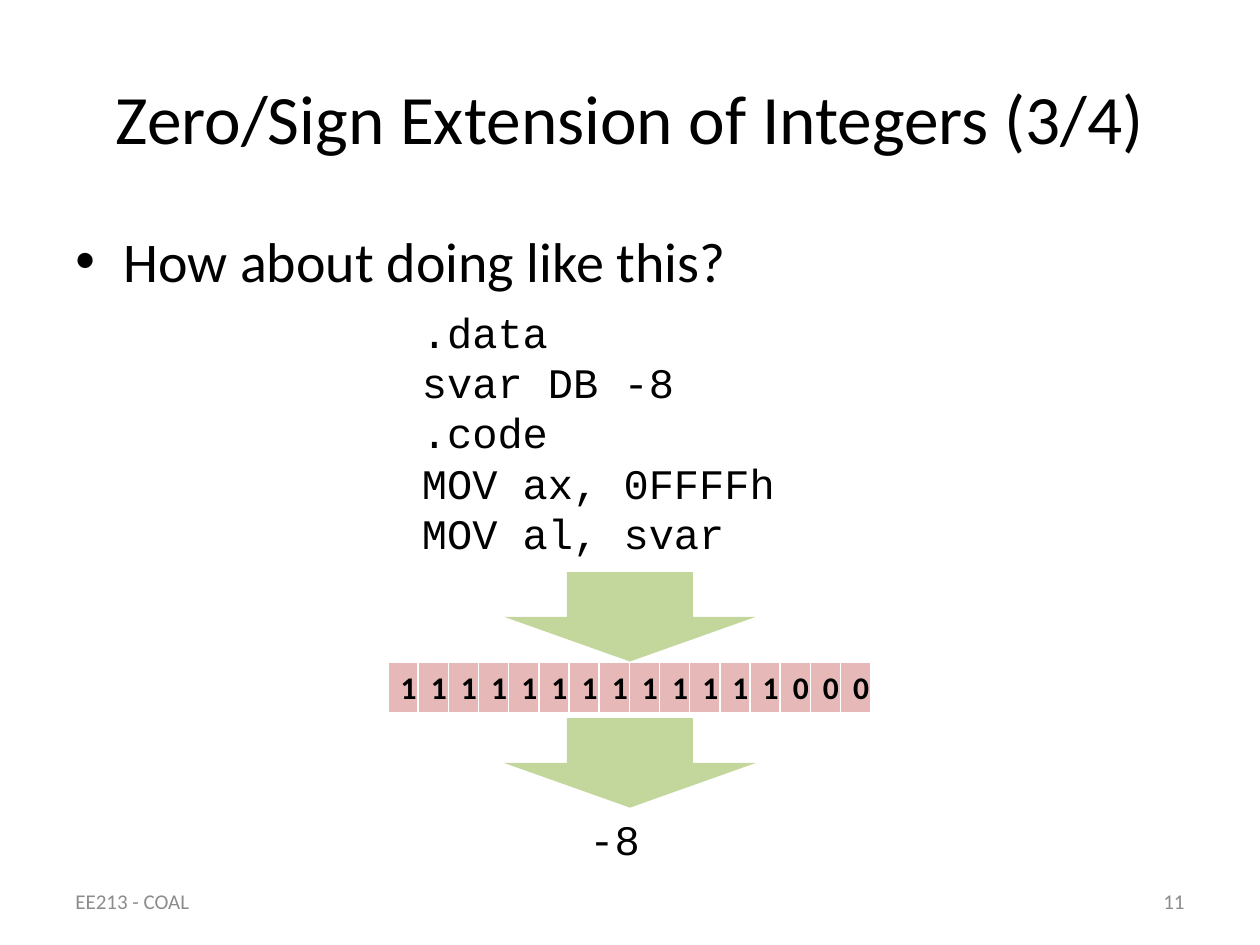
from lxml import etree
from pptx import Presentation
from pptx.dml.color import RGBColor
from pptx.enum.shapes import MSO_SHAPE
from pptx.enum.text import MSO_ANCHOR, PP_ALIGN
from pptx.oxml.ns import qn
from pptx.util import Inches, Pt

TITLE = "Zero/Sign Extension of Integers (3/4)"
QUESTION = "How about doing like this?"
CODE = [".data", "svar DB -8", ".code", "MOV ax, 0FFFFh", "MOV al, svar"]
BITS = "1111111111111000"
RESULT = "-8"
FOOTER, PAGE = "EE213 - COAL", "11"

BLACK, GRAY, WHITE = "000000", "8C8C8C", "FFFFFF"
GREEN, PINK = "C3D69B", "E6B9B8"
SANS, MONO = "Calibri", "Courier New"
ARROW_TOPS = [4.54, 5.70]
BORDERS = [("a:lnL", 1), ("a:lnR", 1), ("a:lnT", 1), ("a:lnB", 3)]


def color(value):
    """Turn a hex string into a colour."""
    return RGBColor.from_string(value)


def set_font(paragraph, size, name=SANS, fill=BLACK, bold=False):
    """Set the font of a whole paragraph."""
    font = paragraph.font
    font.size, font.name, font.bold = Pt(size), name, bold
    font.color.rgb = color(fill)


def add_text(slide, box, lines, size, name=SANS, fill=BLACK,
             align=PP_ALIGN.LEFT, anchor=MSO_ANCHOR.TOP, wrap=True):
    """Add a text box with one paragraph per line and return its frame."""
    frame = slide.shapes.add_textbox(*map(Inches, box)).text_frame
    frame.word_wrap = wrap
    frame.vertical_anchor = anchor
    frame.text = "\n".join(lines)
    for paragraph in frame.paragraphs:
        paragraph.alignment = align
        set_font(paragraph, size, name, fill)
    return frame


def add_bullet(paragraph, indent):
    """Give a paragraph a round bullet with a hanging indent."""
    properties = paragraph._p.get_or_add_pPr()
    properties.set("marL", str(Inches(indent)))
    properties.set("indent", str(-Inches(indent)))
    spacing = etree.Element(qn("a:spcBef"))
    etree.SubElement(spacing, qn("a:spcPct"), val="20000")
    font = etree.Element(qn("a:buFont"), typeface="Arial")
    bullet = etree.Element(qn("a:buChar"), char="•")
    for position, element in enumerate((spacing, font, bullet)):
        properties.insert(position, element)


def add_arrow(slide, top):
    """Add a block arrow that points down."""
    arrow = slide.shapes.add_shape(MSO_SHAPE.DOWN_ARROW, Inches(4), Inches(top),
                                   Inches(2), Inches(0.71))
    arrow.shadow.inherit = False
    arrow.fill.solid()
    arrow.fill.fore_color.rgb = color(GREEN)
    arrow.line.fill.background()


def set_borders(cell):
    """Draw white borders around a cell."""
    properties = cell._tc.get_or_add_tcPr()
    for position, (tag, width) in enumerate(BORDERS):
        line = etree.Element(qn(tag), w=str(Pt(width)))
        fill = etree.SubElement(line, qn("a:solidFill"))
        etree.SubElement(fill, qn("a:srgbClr"), val=WHITE)
        properties.insert(position, line)


def add_bits(slide, bits):
    """Add a one-row table with a bit in each cell."""
    table = slide.shapes.add_table(1, len(bits), Inches(3.08), Inches(5.26),
                                   Inches(3.67), Inches(0.41)).table
    for cell, bit in zip(table.iter_cells(), bits):
        cell.text = bit
        cell.fill.solid()
        cell.fill.fore_color.rgb = color(PINK)
        set_borders(cell)
        paragraph = cell.text_frame.paragraphs[0]
        paragraph.alignment = PP_ALIGN.CENTER
        set_font(paragraph, 18, bold=True)


presentation = Presentation()
presentation.slide_width, presentation.slide_height = Inches(10), Inches(7.5)
slide = presentation.slides.add_slide(presentation.slide_layouts[6])

add_text(slide, (0.5, 0.3, 9, 1.25), [TITLE], 39.6,
         align=PP_ALIGN.CENTER, anchor=MSO_ANCHOR.MIDDLE)
question = add_text(slide, (0.5, 1.75, 9, 4.95), [QUESTION], 32)
add_bullet(question.paragraphs[0], 0.38)
for left, text, align in [(0.5, FOOTER, PP_ALIGN.LEFT), (7.17, PAGE, PP_ALIGN.RIGHT)]:
    add_text(slide, (left, 6.95, 2.33, 0.4), [text], 12, fill=GRAY,
             align=align, anchor=MSO_ANCHOR.MIDDLE)
add_text(slide, (3.25, 2.38, 3.02, 2.12), CODE, 24, MONO, wrap=False)
add_bits(slide, BITS)
for top in ARROW_TOPS:
    add_arrow(slide, top)
add_text(slide, (4.58, 6.41, 0.61, 0.5), [RESULT], 24, MONO, wrap=False)

presentation.save("out.pptx")
